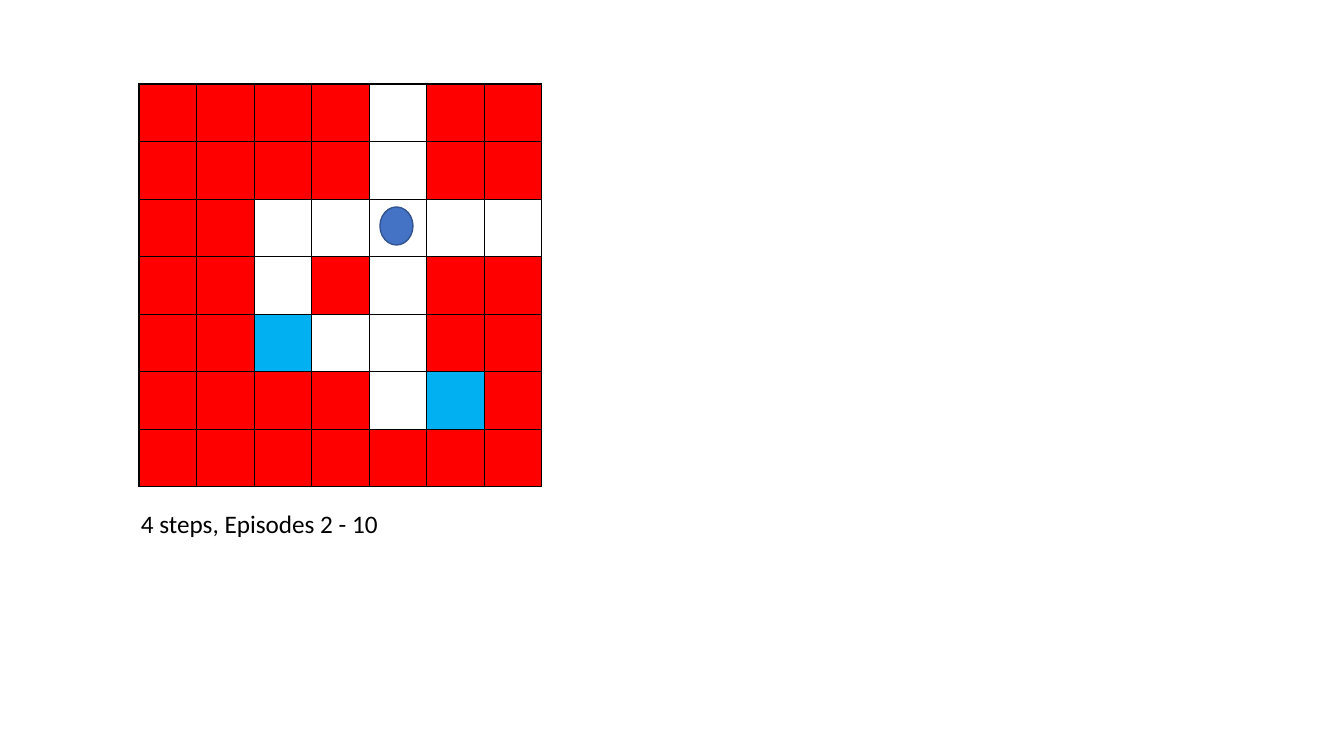
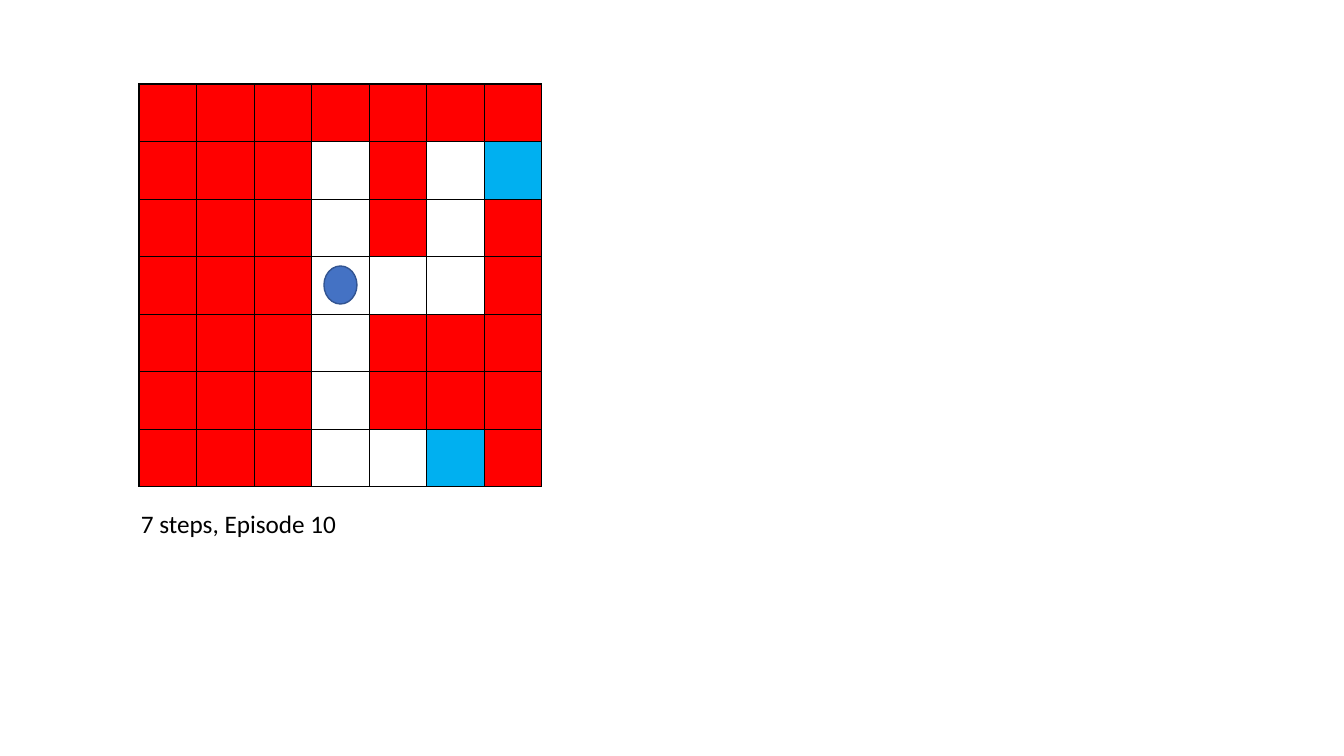
from lxml import etree
from pptx import Presentation
from pptx.dml.color import RGBColor
from pptx.enum.shapes import MSO_SHAPE
from pptx.enum.text import MSO_AUTO_SIZE
from pptx.oxml.ns import qn
from pptx.util import Emu, Pt

OVAL = MSO_SHAPE.OVAL
GROW = MSO_AUTO_SIZE.SHAPE_TO_FIT_TEXT
SCALE = 914400 / 100.8
FONT = "Calibri"
BLACK = "000000"
BLUE = "4472C4"
NAVY = "325491"
# Cell codes: wall, path, goal
FILLS = {"#": "FF0000", ".": "FFFFFF", "G": "00B0F0"}
LEFT, TOP, SIDE = 139, 84, 403

# Each maze: rows, left and top of the agent, caption
MAZES = [
    (["####.##",
      "####.##",
      "##.....",
      "##.#.##",
      "##G..##",
      "####.G#",
      "#######"], (380, 207), "4 steps, Episodes 2 - 10"),
    (["#######",
      "###.#.G",
      "###.#.#",
      "###...#",
      "###.###",
      "###.###",
      "###..G#"], (324, 266), "7 steps, Episode 10"),
]


def px(*nums):
    """Turn pixels into a list of EMU lengths."""
    return [Emu(round(num * SCALE)) for num in nums]


def color(code):
    """Turn a hex string into a colour."""
    return RGBColor.from_string(code)


def border(cell, code=BLACK, width=1):
    """Draw a line on all four sides of an unfilled cell."""
    props = cell._tc.get_or_add_tcPr()
    for side in ("a:lnL", "a:lnR", "a:lnT", "a:lnB"):
        line = etree.SubElement(props, qn(side), w=str(Pt(width)))
        fill = etree.SubElement(line, qn("a:solidFill"))
        etree.SubElement(fill, qn("a:srgbClr"), val=code)


def add_grid(slide, rows):
    """Add the maze as a table of equal, filled cells."""
    count = len(rows)
    frame = slide.shapes.add_table(count, len(rows[0]),
                                   *px(LEFT, TOP, SIDE, SIDE))
    table = frame.table
    table.first_row = table.horz_banding = False
    step = px(SIDE / count)[0]
    for col in table.columns:
        col.width = step
    for row, codes in zip(table.rows, rows):
        row.height = step
        for cell, code in zip(row.cells, codes):
            border(cell)
            cell.fill.solid()
            cell.fill.fore_color.rgb = color(FILLS[code])


def add_agent(slide, left, top):
    """Add the oval that marks the agent."""
    oval = slide.shapes.add_shape(OVAL, *px(left, top, 33, 38))
    oval.shadow.inherit = False
    oval.fill.solid()
    oval.fill.fore_color.rgb = color(BLUE)
    oval.line.color.rgb = color(NAVY)
    oval.line.width = Pt(1)


def add_text(slide, text, box, size=18, code=BLACK, font=FONT):
    """Add a wrapped text box that grows with its text."""
    frame = slide.shapes.add_textbox(*px(*box)).text_frame
    frame.word_wrap = True
    frame.auto_size = GROW
    run = frame.paragraphs[0].add_run()
    run.text = text
    run.font.name = font
    run.font.size = Pt(size)
    run.font.color.rgb = color(code)


def main():
    """Build one slide for each maze."""
    deck = Presentation()
    deck.slide_width, deck.slide_height = px(1344, 756)
    blank = deck.slide_layouts[6]
    for rows, agent, text in MAZES:
        slide = deck.slides.add_slide(blank)
        add_grid(slide, rows)
        add_agent(slide, *agent)
        add_text(slide, text, (131, 503, 372, 40))
    deck.save("out.pptx")


main()
